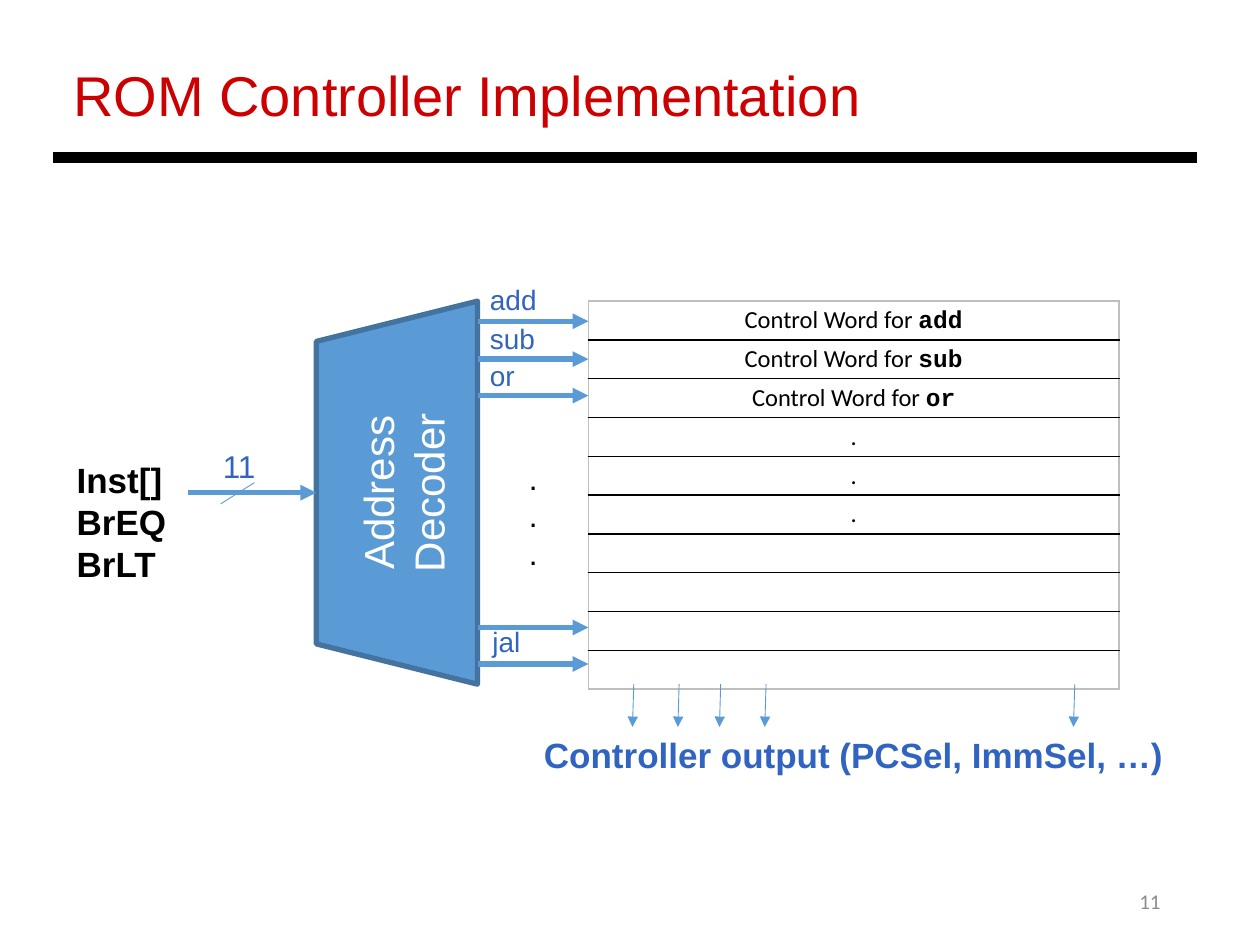
from dataclasses import dataclass

from lxml.etree import SubElement
from pptx import Presentation
from pptx.dml.color import RGBColor
from pptx.enum.shapes import MSO_CONNECTOR as Link, MSO_SHAPE as Shape
from pptx.enum.text import MSO_ANCHOR as Anchor, PP_ALIGN as Align
from pptx.oxml.ns import qn
from pptx.util import Inches, Pt

BLACK, WHITE, RED, GREY = "000000", "FFFFFF", "CC0000", "BFBFBF"
BLUE, EDGE, INK = "5B9BD5", "43739E", "3064C0"

DEC_L, DEC_R, DEC_T, DEC_B = 2.51, 3.79, 2.39, 5.43
MID = (DEC_T + DEC_B) / 2
ROM_L, ROM_W, ROM_H = 4.67, 4.21, 3.08


@dataclass
class Label:
    text: str
    box: tuple
    size: int = 16
    color: str = INK
    bold: bool = False
    align: Align = Align.LEFT
    font: str = "Arial"
    anchor: Anchor = Anchor.TOP


LABELS = [
    Label("add", (3.79, 2.19, 0.58, 0.37)),
    Label("sub", (3.79, 2.5, 0.56, 0.37)),
    Label("or", (3.79, 2.8, 0.4, 0.37)),
    Label("jal", (3.81, 4.91, 0.43, 0.37)),
    Label("11", (1.67, 3.5, 0.46, 0.4), 18),
    Label(".\n.\n.", (4.1, 3.59, 0.27, 1.01), 18, BLACK),
    Label("Inst[]\nBrEQ\nBrLT", (0.51, 3.59, 0.92, 1.11), 20, BLACK, True),
    Label("Controller output (PCSel, ImmSel, …)", (4.2, 5.77, 5.15, 0.44),
          20, bold=True, align=Align.CENTER),
    Label("11", (7.06, 6.95, 2.25, 0.4), 12, "8C8C8C", align=Align.RIGHT,
          font="Calibri", anchor=Anchor.MIDDLE),
]
WORDS = ["add", "sub", "or"]
DOT_ROWS = range(3, 6)
ROWS = 10
SELECT_YS = [2.55, 2.85, 3.14, 4.98, 5.27]
OUTPUT_XS = [5.03, 5.39, 5.72, 6.08, 8.53]


def rgb(code: str) -> RGBColor:
    return RGBColor.from_string(code)


def add_run(para, text: str, *, size: int, color: str = BLACK,
            font: str = "Arial", bold: bool = False) -> None:
    run = para.add_run()
    run.text = text
    run.font.name, run.font.size, run.font.bold = font, Pt(size), bold
    run.font.color.rgb = rgb(color)


def write(frame, text: str, *, align: Align = Align.LEFT, **style) -> None:
    """Fill a text frame, one paragraph for each line."""
    for i, line in enumerate(text.split("\n")):
        para = frame.add_paragraph() if i else frame.paragraphs[0]
        para.alignment = align
        add_run(para, line, **style)


def add_label(slide, item: Label) -> None:
    frame = slide.shapes.add_textbox(*map(Inches, item.box)).text_frame
    frame.word_wrap = False
    frame.vertical_anchor = item.anchor
    write(frame, item.text, align=item.align, size=item.size,
          color=item.color, font=item.font, bold=item.bold)


def add_line(slide, start: tuple, end: tuple, *, width: float,
             color: str = BLUE, arrow: bool = True) -> None:
    line = slide.shapes.add_connector(
        Link.STRAIGHT, *map(Inches, (*start, *end)))
    line.line.color.rgb = rgb(color)
    line.line.width = Pt(width)
    if arrow:
        SubElement(line.line._get_or_add_ln(), qn("a:tailEnd"), type="triangle")
    SubElement(line._element.spPr, qn("a:effectLst"))


def add_title(slide) -> None:
    title = slide.shapes.title
    title.left, title.top, title.width, title.height = map(
        Inches, (0.48, 0.43, 8.78, 0.64))
    title.text_frame.vertical_anchor = Anchor.MIDDLE
    write(title.text_frame, "ROM Controller Implementation", size=32, color=RED)


def set_edges(cell, **colors: str) -> None:
    """Draw cell borders; the keys are lnL, lnR, lnT and lnB."""
    props = cell._tc.get_or_add_tcPr()
    for i, (side, color) in enumerate(colors.items()):
        edge = props.makeelement(qn(f"a:{side}"), {"w": str(Pt(1))})
        fill = SubElement(edge, qn("a:solidFill"))
        SubElement(fill, qn("a:srgbClr"), val=color)
        props.insert(i, edge)


def add_rom(slide) -> None:
    table = slide.shapes.add_table(
        ROWS, 1, *map(Inches, (ROM_L, DEC_T, ROM_W, ROM_H))).table
    table.first_row = table.horz_banding = False
    for i in range(ROWS):
        cell = table.cell(i, 0)
        cell.fill.solid()
        cell.fill.fore_color.rgb = rgb(WHITE)
        cell.margin_top = cell.margin_bottom = Inches(0.03)
        cell.vertical_anchor = Anchor.MIDDLE
        para = cell.text_frame.paragraphs[0]
        para.alignment = Align.CENTER
        if i < len(WORDS):
            add_run(para, "Control Word for ", size=14, font="Calibri")
            add_run(para, WORDS[i], size=14, font="Courier New", bold=True)
        elif i in DOT_ROWS:
            add_run(para, ".", size=14, font="Calibri")
        else:
            SubElement(para._p, qn("a:endParaRPr"), sz="1400")
        set_edges(cell, lnL=GREY, lnR=GREY, lnT=BLACK if i else GREY,
                  lnB=BLACK if i < ROWS - 1 else GREY)


def add_decoder(slide) -> None:
    wide, high = DEC_B - DEC_T, DEC_R - DEC_L
    left = (DEC_L + DEC_R - wide) / 2
    shape = slide.shapes.add_shape(
        Shape.TRAPEZOID, *map(Inches, (left, MID - high / 2, wide, high)))
    shape.rotation = 270
    shape.shadow.inherit = False
    shape.fill.solid()
    shape.fill.fore_color.rgb = rgb(BLUE)
    shape.line.color.rgb = rgb(EDGE)
    shape.line.width = Pt(3)
    shape.text_frame.vertical_anchor = Anchor.MIDDLE
    write(shape.text_frame, "Address\nDecoder", size=24, color=WHITE,
          align=Align.CENTER)


def main() -> None:
    deck = Presentation()
    deck.slide_width, deck.slide_height = Inches(10), Inches(7.5)
    slide = deck.slides.add_slide(deck.slide_layouts[5])
    add_title(slide)
    add_line(slide, (0.42, 1.25), (9.5, 1.25), width=6, color=BLACK, arrow=False)
    add_rom(slide)
    add_decoder(slide)
    for y in SELECT_YS:
        add_line(slide, (DEC_R, y), (ROM_L, y), width=3)
    add_line(slide, (1.49, MID), (DEC_L, MID), width=3)
    add_line(slide, (1.75, 4), (2.02, 3.83), width=0.5, arrow=False)
    for x in OUTPUT_XS:
        add_line(slide, (x, DEC_B), (x - 0.01, 5.77), width=0.5)
    for item in LABELS:
        add_label(slide, item)
    deck.save("out.pptx")


if __name__ == "__main__":
    main()
